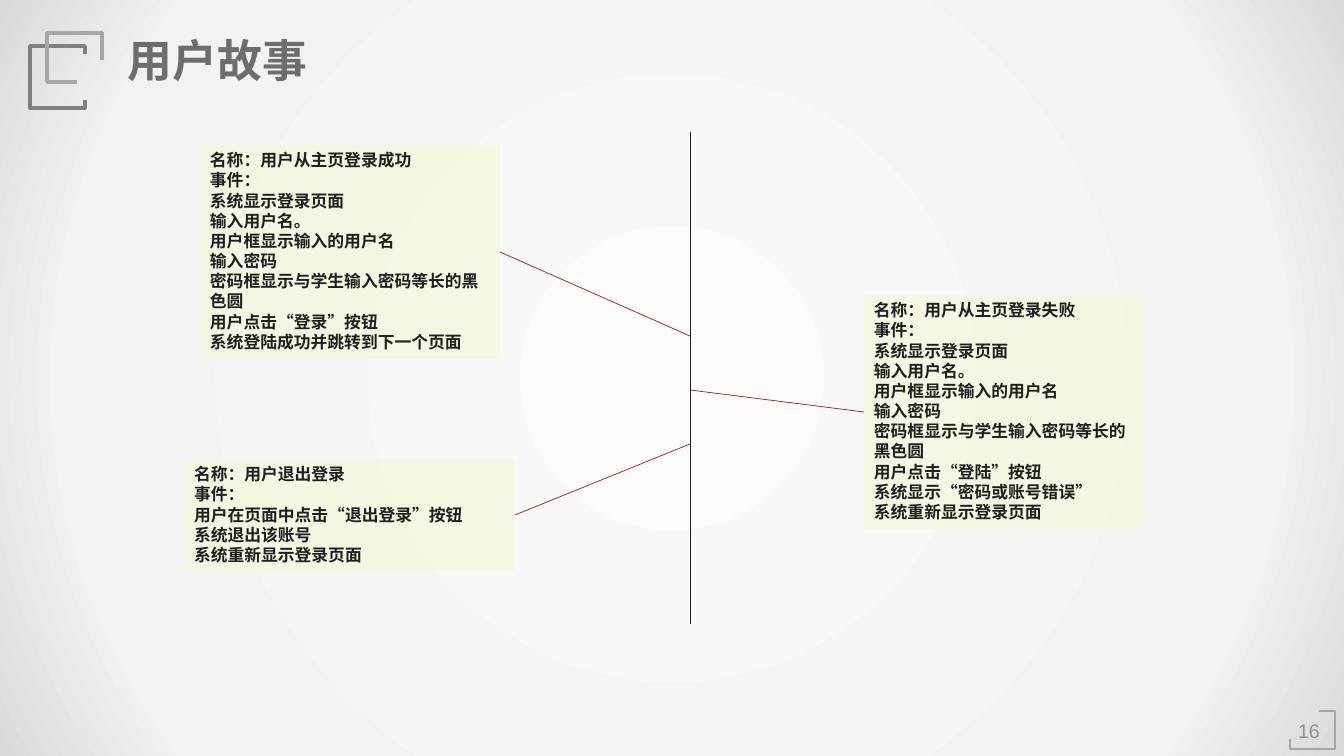
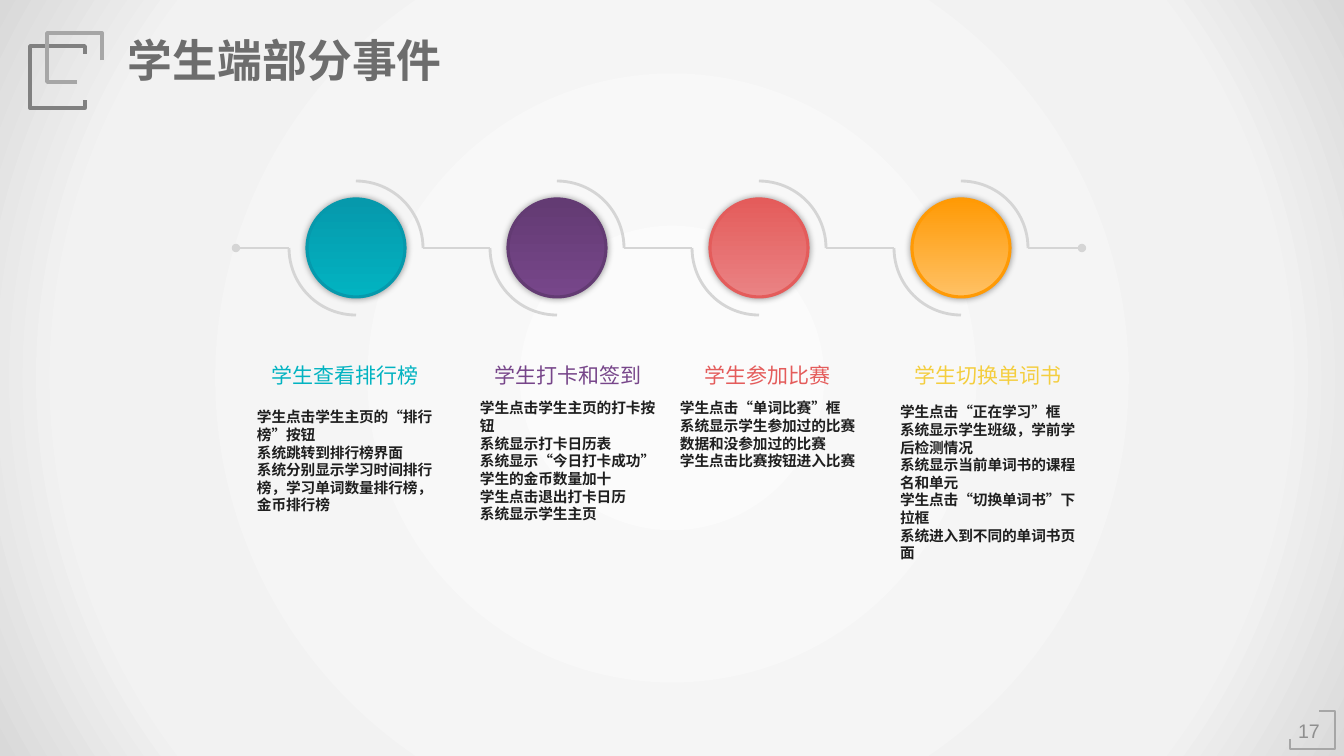
from dataclasses import dataclass

from lxml import etree
from pptx import Presentation
from pptx import util as u
from pptx.dml.color import RGBColor
from pptx.enum import shapes, text
from pptx.oxml import parse_xml
from pptx.oxml.ns import nsdecls, qn

EMU_PER_PX = 914400 / 100.8
WIDTH, HEIGHT = 1344, 756


@dataclass(frozen=True)
class Theme:
    latin: str = "Arial"
    cjk: str = "Noto Sans CJK SC"
    ink: str = "1F1F1F"
    title: str = "6D6D6D"
    number: str = "8F8F8F"
    dark_bracket: str = "808080"
    light_bracket: str = "A6A6A6"
    card: str = "F3F7D9"
    link: str = "9B1E11"
    track: str = "D5D5D5"
    backdrop: tuple = ((0, "FBFBFB"), (79, "F2F2F2"), (100, "D9D9D9"))
    title_pt: float = 32
    number_pt: float = 14
    heading_pt: float = 15
    card_pt: float = 12
    body_pt: float = 10.5
    leading: float = 1.2


T = Theme()

CARDS = {
    "success": ((200, 145, 300, 214), [
        "名称：用户从主页登录成功", "事件：", "系统显示登录页面", "输入用户名。",
        "用户框显示输入的用户名", "输入密码", "密码框显示与学生输入密码等长的黑色圆",
        "用户点击“登录”按钮", "系统登陆成功并跳转到下一个页面"]),
    "failure": ((864, 295, 280, 234), [
        "名称：用户从主页登录失败", "事件：", "系统显示登录页面", "输入用户名。",
        "用户框显示输入的用户名", "输入密码", "密码框显示与学生输入密码等长的黑色圆",
        "用户点击“登陆”按钮", "系统显示“密码或账号错误”", "系统重新显示登录页面"]),
    "logout": ((184, 459, 331, 112), [
        "名称：用户退出登录", "事件：", "用户在页面中点击“退出登录”按钮",
        "系统退出该账号", "系统重新显示登录页面"]),
}
# card, side joined (1 left, 3 right), height on the spine
LINKS = [("success", 3, 336), ("failure", 1, 390), ("logout", 3, 444)]

# top colour, bottom colour of each ball
BALLS = [("0699AC", "02B3C1"), ("633B73", "77468A"),
         ("E45C5B", "EA8384"), ("FF9A05", "FFC165")]

# left, offset of the body below the heading, colour, heading, body
EVENTS = [
    (257, 50, "02B3C1", "学生查看排行榜", [
        "学生点击学生主页的“排行榜”按钮", "系统跳转到排行榜界面",
        "系统分别显示学习时间排行榜，学习单词数量排行榜，金币排行榜"]),
    (480, 41, "77468A", "学生打卡和签到", [
        "学生点击学生主页的打卡按钮", "系统显示打卡日历表", "系统显示“今日打卡成功”",
        "学生的金币数量加十", "学生点击退出打卡日历", "系统显示学生主页"]),
    (680, 41, "E45C5B", "学生参加比赛", [
        "学生点击“单词比赛”框", "系统显示学生参加过的比赛数据和没参加过的比赛",
        "学生点击比赛按钮进入比赛"]),
    (900, 45, "F4CE3F", "学生切换单词书", [
        "学生点击“正在学习”框", "系统显示学生班级，学前学后检测情况",
        "系统显示当前单词书的课程名和单元", "学生点击“切换单词书”下拉框",
        "系统进入到不同的单词书页面"]),
]


def px(*lengths):
    return [u.Emu(round(n * EMU_PER_PX)) for n in lengths]


def rgb(color):
    return RGBColor.from_string(color)


# --- basic parts ---

def set_line(sp, color, width):
    sp.line.color.rgb = rgb(color)
    sp.line.width = u.Pt(width)


def add_preset(s, kind, box):
    sp = s.shapes.add_shape(kind, *px(*box))
    sp.shadow.inherit = False
    sp.line.fill.background()
    return sp


def add_line(s, start, end, color, width):
    line = s.shapes.add_connector(shapes.MSO_CONNECTOR.STRAIGHT, *px(*start, *end))
    set_line(line, color, width)
    etree.SubElement(line._element.spPr, qn("a:effectLst"))
    return line


def add_bracket(s, points, color, width):
    builder = s.shapes.build_freeform(*points[0], scale=EMU_PER_PX)
    builder.add_line_segments(points[1:], close=False)
    sp = builder.convert_to_shape()
    sp.shadow.inherit = False
    sp.fill.background()
    set_line(sp, color, width)


def write(sp, lines, size, color, bold=False, latin=T.latin,
          align=text.PP_ALIGN.LEFT, anchor=text.MSO_ANCHOR.TOP,
          wrap=True, inset=(10, 5)):
    tf = sp.text_frame
    tf.word_wrap = wrap
    tf.vertical_anchor = anchor
    tf.margin_left, tf.margin_top = tf.margin_right, tf.margin_bottom = px(*inset)
    for i, line in enumerate(lines):
        p = tf.add_paragraph() if i else tf.paragraphs[0]
        p.add_run().text = line
        p.alignment = align
        p.line_spacing = u.Pt(size * T.leading)
        p.font.size = u.Pt(size)
        p.font.bold = bold
        p.font.color.rgb = rgb(color)
        p.font.name = latin
        etree.SubElement(p._p.pPr.find(qn("a:defRPr")), qn("a:ea"), typeface=T.cjk)


def add_text(s, box, lines, size, color, **style):
    write(s.shapes.add_textbox(*px(*box)), lines, size, color, **style)


# --- shared frame ---

def add_backdrop(s):
    sp = add_preset(s, shapes.MSO_SHAPE.RECTANGLE, (0, 0, WIDTH, HEIGHT))
    sp.fill.solid()
    stops = "".join(f'<a:gs pos="{at * 1000}"><a:srgbClr val="{color}"/></a:gs>'
                    for at, color in T.backdrop)
    gradient = parse_xml(
        f'<a:gradFill {nsdecls("a")} rotWithShape="1"><a:gsLst>{stops}</a:gsLst>'
        '<a:path path="circle"><a:fillToRect l="50000" t="50000" r="50000" b="50000"/>'
        '</a:path></a:gradFill>')
    spPr = sp._element.spPr
    spPr.replace(spPr.find(qn("a:solidFill")), gradient)


def new_slide(prs, title, number):
    s = prs.slides.add_slide(prs.slide_layouts[6])
    add_backdrop(s)
    # page number
    add_text(s, (1287, 715, 44, 31), [str(number)], T.number_pt, T.number,
             align=text.PP_ALIGN.CENTER, anchor=text.MSO_ANCHOR.MIDDLE, inset=(7, 4))
    # corner brackets
    add_bracket(s, [(85, 54), (85, 46), (30, 46), (30, 108), (85, 108), (85, 100)],
                T.dark_bracket, 2.5)
    add_bracket(s, [(102, 60), (102, 33), (47, 33), (47, 82), (77, 82)],
                T.light_bracket, 2.5)
    add_bracket(s, [(1290, 739), (1290, 749), (1335, 749), (1335, 711), (1319, 711)],
                T.light_bracket, 2)
    # title
    add_text(s, (118, 28, 340, 65), [title], T.title_pt, T.title, bold=True, wrap=False)
    return s


# --- user stories ---

def add_card(s, box, lines):
    sp = add_preset(s, shapes.MSO_SHAPE.RECTANGLE, box)
    sp.fill.solid()
    sp.fill.fore_color.rgb = rgb(T.card)
    color = sp._element.spPr.find(qn("a:solidFill"))[0]
    etree.SubElement(color, qn("a:alpha"), val="70000")
    write(sp, lines, T.card_pt, T.ink, bold=True)
    return sp


def add_stories(s, box):
    x, y, _, h = box
    cards = {name: add_card(s, *card) for name, card in CARDS.items()}
    add_line(s, (x, y), (x, y + h), T.ink, 0.5)
    for name, side, at in LINKS:
        link = add_line(s, (x, at), (x, at), T.link, 0.5)
        link.begin_connect(cards[name], side)


# --- student events ---

def add_ball(s, box, top, bottom):
    sp = add_preset(s, shapes.MSO_SHAPE.OVAL, box)
    sp.fill.gradient()
    sp.fill.gradient_angle = 270
    for stop, color, at in zip(sp.fill.gradient_stops, (top, bottom), (0, 1)):
        stop.color.rgb = rgb(color)
        stop.position = at
    set_line(sp, top, 2.25)
    sp._element.spPr.find(qn("a:effectLst")).append(parse_xml(
        f'<a:outerShdw {nsdecls("a")} blurRad="63500" dist="0" dir="0" rotWithShape="0">'
        '<a:srgbClr val="000000"><a:alpha val="40000"/></a:srgbClr></a:outerShdw>'))


def add_timeline(s, box):
    x, y, w, h = box
    ring, ball = h // 2, 49
    mid = y + ring
    centres = [x + 120 + i * 605 // 3 for i in range(len(BALLS))]
    # ball inside two opposite quarter arcs
    for cx, colors in zip(centres, BALLS):
        add_ball(s, (cx - ball, mid - ball, 2 * ball, 2 * ball), *colors)
        for turn in (0, 180):
            arc = add_preset(s, shapes.MSO_SHAPE.ARC, (cx - ring, y, h, h))
            arc.fill.background()
            arc.rotation = turn
            set_line(arc, T.track, 2)
    # track between the rings, with a dot at each outer end
    starts = [x] + [cx + ring for cx in centres]
    ends = [cx - ring for cx in centres] + [x + w]
    track = [add_line(s, (a, mid), (b, mid), T.track, 2) for a, b in zip(starts, ends)]
    for line, tag in ((track[0], "a:headEnd"), (track[-1], "a:tailEnd")):
        etree.SubElement(line._element.spPr.find(qn("a:ln")), qn(tag), type="oval")


def add_event(s, box, drop, color, heading, lines):
    x, y, w, h = box
    add_text(s, (x, y, w, 35), [heading], T.heading_pt, color, latin=T.cjk,
             align=text.PP_ALIGN.CENTER, wrap=False)
    add_text(s, (x, y + drop, w, h - drop), lines, T.body_pt, T.ink,
             bold=True, inset=(0, 0))


def main():
    prs = Presentation()
    prs.slide_width, prs.slide_height = px(WIDTH, HEIGHT)

    s = new_slide(prs, "用户故事", 16)
    add_stories(s, (690, 132, 0, 492))

    s = new_slide(prs, "学生端部分事件", 17)
    add_timeline(s, (236, 181, 846, 134))
    for left, *event in EVENTS:
        add_event(s, (left, 358, 176, 182), *event)

    prs.save("out.pptx")


if __name__ == "__main__":
    main()
